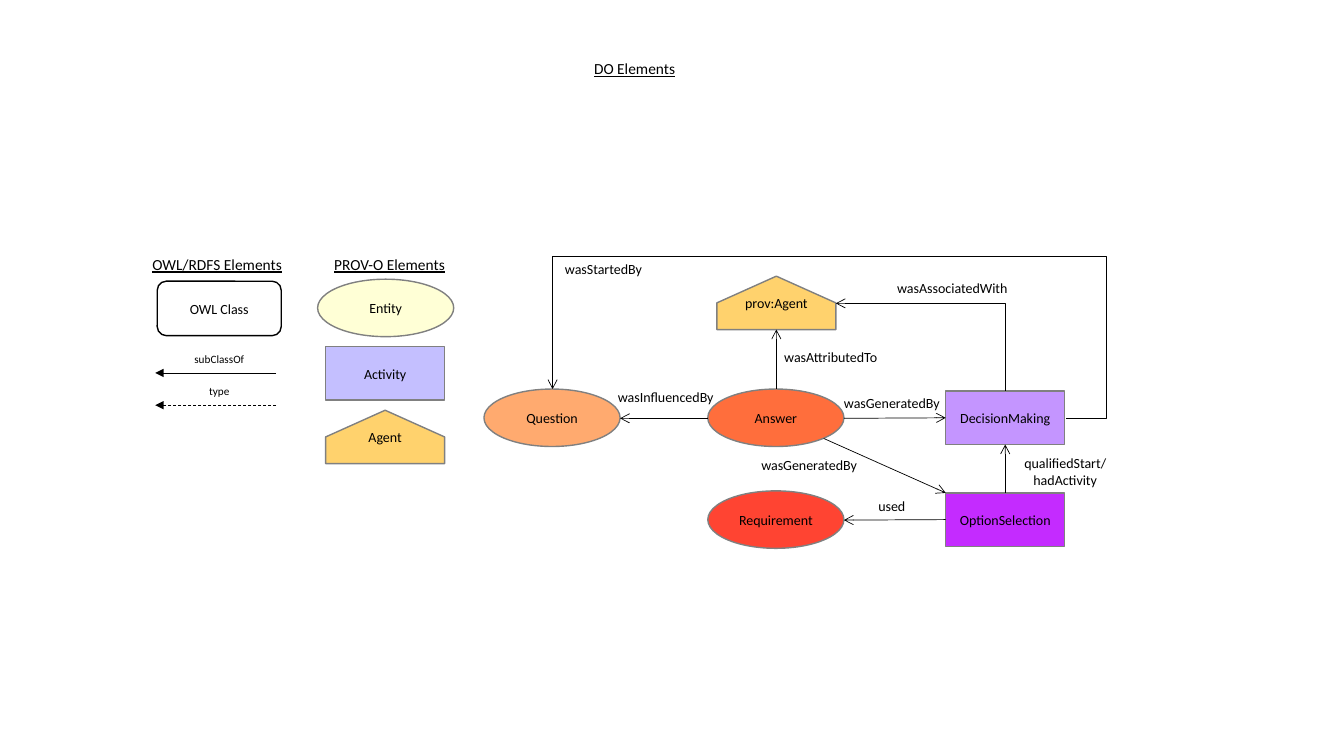
"""Build the DO Elements ontology diagram slide."""
from lxml import etree
from pptx import Presentation
from pptx.dml.color import RGBColor
from pptx.enum.dml import MSO_LINE
from pptx.enum.shapes import MSO_CONNECTOR, MSO_SHAPE
from pptx.enum.text import MSO_ANCHOR, MSO_AUTO_SIZE, PP_ALIGN
from pptx.oxml.ns import qn
from pptx.util import Inches, Pt

CENTER, LEFT = PP_ALIGN.CENTER, PP_ALIGN.LEFT
MIDDLE, TOP = MSO_ANCHOR.MIDDLE, MSO_ANCHOR.TOP
NO_FIT = MSO_AUTO_SIZE.NONE
RECT, OVAL, ROUND = MSO_SHAPE.RECTANGLE, MSO_SHAPE.OVAL, MSO_SHAPE.ROUNDED_RECTANGLE
STRAIGHT, ELBOW = MSO_CONNECTOR.STRAIGHT, MSO_CONNECTOR.ELBOW
DASH = MSO_LINE.DASH

FONT = "Calibri"
COLORS = {
    "black": "000000", "white": "FFFFFF", "gray": "808080",
    "cream": "FFFFD6", "lilac": "C4BFFF", "gold": "FFD26D",
    "peach": "FFAA6F", "orange": "FF6E3C", "red": "FF4432",
    "violet": "C495FF", "purple": "C42BFF",
}
OVAL_SIZE = (1.35, 0.57)
BOX_SIZE = (1.18, 0.53)


def color(name):
    """Return the named colour."""
    return RGBColor.from_string(COLORS[name])


def write(shape, text, size, align=CENTER, anchor=TOP, line=1.0, under=None):
    """Put one formatted paragraph into a shape."""
    frame = shape.text_frame
    frame.auto_size = NO_FIT
    frame.word_wrap = False
    frame.vertical_anchor = anchor
    para = frame.paragraphs[0]
    para.text = text
    para.alignment = align
    para.line_spacing = line
    para.space_before = Pt(0)
    font = para.font
    font.name, font.size, font.underline = FONT, Pt(size), under
    font.color.rgb = color("black")


def paint(shape, text, fill, edge="gray"):
    """Style a node and write its centred name."""
    shape.shadow.inherit = False
    shape.fill.solid()
    shape.fill.fore_color.rgb = color(fill)
    shape.line.color.rgb = color(edge)
    shape.line.width = Pt(1)
    write(shape, text, 10, anchor=MIDDLE)
    return shape


def node(slide, kind, text, x, y, size, fill, edge="gray"):
    """Add a preset shape as a node."""
    box = [Inches(v) for v in (x, y, *size)]
    return paint(slide.shapes.add_shape(kind, *box), text, fill, edge)


def house(slide, text, x, y):
    """Add an agent node with a pitched roof."""
    wide, high = BOX_SIZE
    eave = y + high / 2
    points = [(x + wide, eave), (x + wide, y + high), (x, y + high), (x, eave)]
    path = slide.shapes.build_freeform(Inches(x + wide / 2), Inches(y))
    path.add_line_segments([(Inches(a), Inches(b)) for a, b in points], close=True)
    return paint(path.convert_to_shape(), text, "gold")


def label(slide, text, x, y, wide, high, size=10, align=CENTER, under=None):
    """Add a caption without wrapping."""
    box = slide.shapes.add_textbox(*[Inches(v) for v in (x, y, wide, high)])
    write(box, text, size, align, line=1.05, under=under)
    return box


def link(slide, start, end, kind=STRAIGHT, tip="arrow", side="tail",
         dash=None, begin=None, stop=None):
    """Add a thin line with an arrowhead, joined to nodes if given."""
    ends = [Inches(v) for v in (*start, *end)]
    line = slide.shapes.add_connector(kind, *ends)
    if begin:
        line.begin_connect(*begin)
    if stop:
        line.end_connect(*stop)
    line.line.color.rgb = color("black")
    line.line.width = Pt(0.5)
    if dash:
        line.line.dash_style = dash
    props = line._element.spPr
    etree.SubElement(props.find(qn("a:ln")), qn(f"a:{side}End"), type=tip)
    etree.SubElement(props, qn("a:effectLst"))
    return line


def bend(line, preset, *turns):
    """Choose the elbow form and its turning points."""
    geom = line._element.spPr.find(qn("a:prstGeom"))
    geom.set("prst", preset)
    guides = geom.get_or_add_avLst()
    for i, turn in enumerate(turns, 1):
        etree.SubElement(guides, qn("a:gd"), name=f"adj{i}",
                         fmla=f"val {round(turn * 100000)}")


def legend(slide):
    """Draw the key to the notation."""
    for text, x in (("OWL/RDFS Elements", 1.52), ("PROV-O Elements", 3.23)):
        label(slide, text, x, 2.47, 1.27, 0.32, 11, under=True)
    node(slide, ROUND, "OWL Class", 1.56, 2.79, (1.23, 0.54), "white", "black")
    for text, y, dash in (("subClassOf", 3.7, None), ("type", 4.02, DASH)):
        label(slide, text, 1.67, y - 0.26, 1.01, 0.19, 8)
        link(slide, (2.74, y), (1.54, y), tip="triangle", dash=dash)
    node(slide, OVAL, "Entity", 3.15, 2.77, OVAL_SIZE, "cream")
    node(slide, RECT, "Activity", 3.23, 3.44, BOX_SIZE, "lilac")
    house(slide, "Agent", 3.23, 4.07)


def model(slide):
    """Draw the nodes and their relations."""
    node(slide, OVAL, "Question", 4.8, 3.86, OVAL_SIZE, "peach")
    node(slide, OVAL, "Answer", 7.02, 3.86, OVAL_SIZE, "orange")
    node(slide, OVAL, "Requirement", 7.02, 4.87, OVAL_SIZE, "red")
    choice = node(slide, RECT, "DecisionMaking", 9.38, 3.88, BOX_SIZE, "violet")
    option = node(slide, RECT, "OptionSelection", 9.38, 4.89, BOX_SIZE, "purple")
    house(slide, "prov:Agent", 7.11, 2.74)

    link(slide, (7.02, 4.15), (6.15, 4.15))
    link(slide, (7.7, 3.86), (7.7, 3.27))
    link(slide, (8.17, 4.35), (9.38, 4.89))
    link(slide, (8.37, 4.15), (9.38, 4.15), stop=(choice, 1))
    link(slide, (9.38, 5.16), (8.37, 5.16), begin=(option, 1))
    link(slide, (9.97, 4.89), (9.97, 4.41), begin=(option, 0), stop=(choice, 2))
    agent = link(slide, (8.29, 3.01), (9.97, 3.88), ELBOW, side="head")
    bend(agent, "bentConnector2")
    started = link(slide, (8.17, 1.46), (7.88, 6.55), ELBOW, side="head")
    started.rotation = 270
    bend(started, "bentConnector4", -4.54, 1.08)

    hint = label(slide, "qualifiedStart/\nhadActivity", 10.06, 4.45, 1.01, 0.4)
    hint.fill.solid()
    hint.fill.fore_color.rgb = color("white")
    for text, x, y in (("wasGeneratedBy", 8.34, 3.86), ("used", 8.34, 4.88),
                       ("wasGeneratedBy", 7.52, 4.47), ("wasStartedBy", 5.48, 2.53)):
        label(slide, text, x, y, 1.01, 0.27)
    for text, x, y, wide in (("wasInfluencedBy", 6.03, 3.8, 1.02),
                             ("wasAssociatedWith", 8.8, 2.72, 1.17),
                             ("wasAttributedTo", 7.68, 3.4, 1.17)):
        label(slide, text, x, y, wide, 0.29, align=LEFT)


def main():
    """Build and save the slide."""
    deck = Presentation()
    deck.slide_width, deck.slide_height = Inches(13.33), Inches(7.5)
    slide = deck.slides.add_slide(deck.slide_layouts[5])
    title = slide.shapes.title
    title.left, title.top = Inches(5.59), Inches(0.53)
    title.width, title.height = Inches(1.41), Inches(0.28)
    write(title, "DO Elements", 11, line=1.05, under=True)
    legend(slide)
    model(slide)
    deck.save("out.pptx")


if __name__ == "__main__":
    main()
